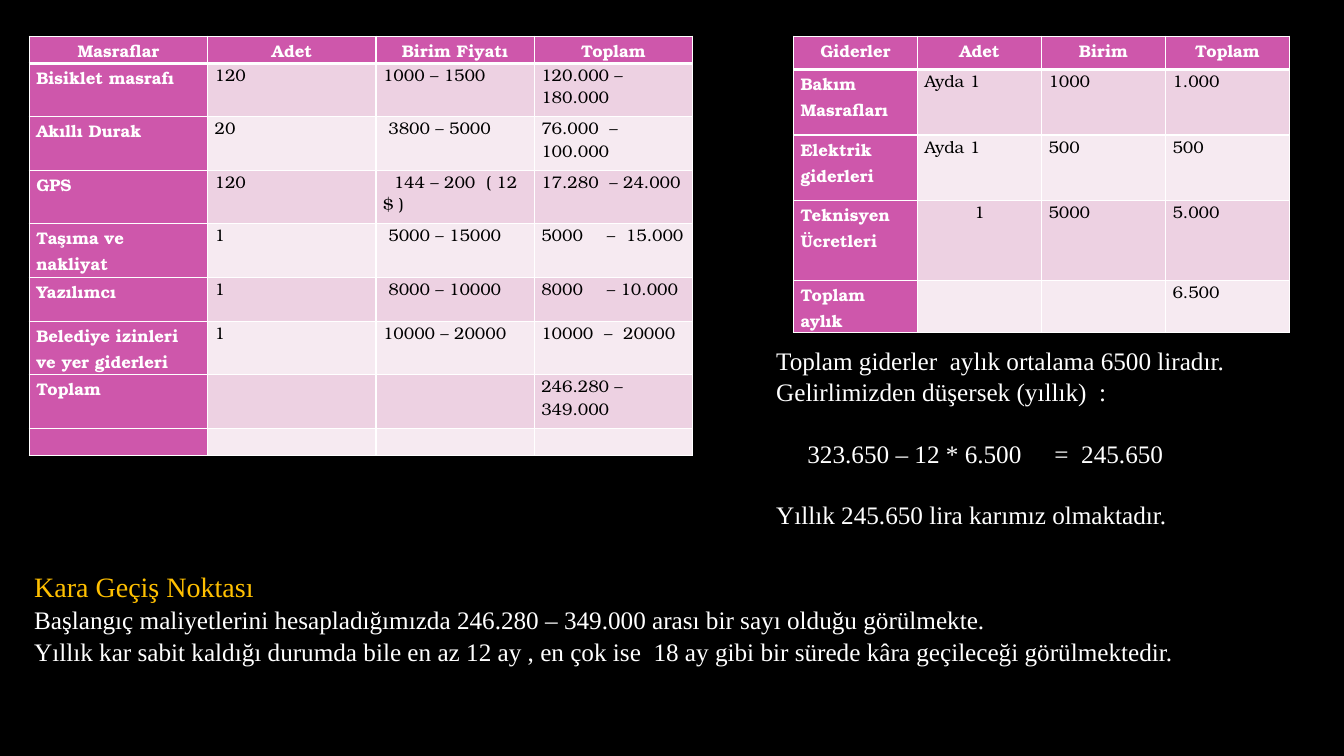
"""Builds the cost, expense and break-even slide."""
from lxml import etree
from pptx import Presentation
from pptx import util as u
from pptx.dml import color
from pptx.enum import text
from pptx.oxml import ns

COLORS = {
    "black": "000000",
    "white": "FFFFFF",
    "gold": "FFC000",
    "pink": "CE57AB",
    "band_dark": "EDD1E2",
    "band_light": "F6EAF1",
}
TABLE_FONT = "TeX Gyre Bonum"
BODY_FONT = "Times New Roman"

COSTS = [
    ["Masraflar", "Adet", "Birim Fiyatı", "Toplam"],
    ["Bisiklet masrafı", "120", "1000 – 1500", "120.000 – 180.000"],
    ["Akıllı Durak", "20", " 3800 – 5000", "76.000  – 100.000"],
    ["GPS", "120", "  144 – 200  ( 12 $ )", "17.280  – 24.000"],
    ["Taşıma ve nakliyat", "1", " 5000 – 15000", "5000\t–  15.000"],
    ["Yazılımcı", "1", " 8000 – 10000", "8000\t– 10.000"],
    ["Belediye izinleri ve yer giderleri", "1", "10000 – 20000", "10000  –  20000"],
    ["Toplam", "", "", "246.280 – 349.000"],
    ["", "", "", ""],
]
EXPENSES = [
    ["Giderler", "Adet", "Birim", "Toplam"],
    ["Bakım Masrafları", "Ayda 1", "1000", "1.000"],
    ["Elektrik giderleri", "Ayda 1", "500", "500"],
    ["Teknisyen Ücretleri", "1", "5000", "5.000"],
    ["Toplam aylık", "", "", "6.500"],
]


def rgb(name):
    """Return a named colour as an RGBColor."""
    return color.RGBColor.from_string(COLORS[name])


def write_para(para, content, size=18, font=BODY_FONT, ink="white", bold=False,
               align=None, spacing=1.0, before=0, tabs=()):
    """Write text into a paragraph with its format."""
    if tabs:
        stops = etree.SubElement(para._p.get_or_add_pPr(), ns.qn("a:tabLst"))
        for stop in tabs:
            etree.SubElement(stops, ns.qn("a:tab"), pos=str(u.Inches(stop)), algn="l")
    para.alignment = align
    para.line_spacing = spacing
    para.space_before = u.Pt(before)
    if not content:
        etree.SubElement(para._p, ns.qn("a:endParaRPr"), sz=str(size * 100))
        return
    span = para.add_run()
    span.text = content
    span.font.name = font
    span.font.size = u.Pt(size)
    span.font.bold = bold
    span.font.color.rgb = rgb(ink)


def add_borders(cell, **widths):
    """Draw white cell borders with the given point widths."""
    for side in ("L", "R", "T", "B"):
        line = etree.SubElement(cell._tc.get_or_add_tcPr(), ns.qn(f"a:ln{side}"),
                                w=str(u.Pt(widths.get(side, 1))))
        fill = etree.SubElement(line, ns.qn("a:solidFill"))
        etree.SubElement(fill, ns.qn("a:srgbClr"), val=COLORS["white"])


def add_grid(page, left, top, widths, heights, rows, centered=()):
    """Add a banded table with a coloured first row and column."""
    frame = page.shapes.add_table(
        len(rows), len(widths), u.Inches(left), u.Inches(top),
        u.Inches(sum(widths)), u.Inches(sum(heights)))
    table = frame.table
    for column, width in zip(table.columns, widths):
        column.width = u.Inches(width)
    for r, (height, row) in enumerate(zip(heights, rows)):
        table.rows[r].height = u.Inches(height)
        for c, content in enumerate(row):
            cell = table.cell(r, c)
            heading = r == 0 or c == 0
            add_borders(cell, T=3 if r == 1 else 1, B=3 if r == 0 else 1)
            cell.fill.solid()
            band = "band_dark" if r % 2 else "band_light"
            cell.fill.fore_color.rgb = rgb("pink" if heading else band)
            cell.margin_left = cell.margin_right = u.Inches(0.07)
            cell.margin_top = cell.margin_bottom = 0
            middle = r == 0 or (r, c) in centered
            write_para(cell.text_frame.paragraphs[0], content, size=12,
                       font=TABLE_FONT, ink="white" if heading else "black",
                       bold=heading, spacing=1.07 if heading else 1.0,
                       align=text.PP_ALIGN.CENTER if middle else None,
                       tabs=(0.65,) if "\t" in content else ())


def add_text(page, left, top, width, height, lines):
    """Add a text box from pairs of text and format."""
    box = page.shapes.add_textbox(*map(u.Inches, (left, top, width, height)))
    frame = box.text_frame
    frame.word_wrap = True
    for i, (content, style) in enumerate(lines):
        para = frame.add_paragraph() if i else frame.paragraphs[0]
        write_para(para, content, spacing=1.04, **style)


def main():
    """Build and save the slide."""
    deck = Presentation()
    deck.slide_width, deck.slide_height = u.Inches(13.33), u.Inches(7.5)
    page = deck.slides.add_slide(deck.slide_layouts[6])
    page.background.fill.solid()
    page.background.fill.fore_color.rgb = rgb("black")

    add_grid(page, 0.29, 0.36, [1.77, 1.67, 1.57, 1.57],
             [0.27] + [0.53] * 4 + [0.44] + [0.53] * 2 + [0.27], COSTS)
    add_grid(page, 7.87, 0.36, [1.23] * 4, [0.33, 0.65, 0.65, 0.79, 0.49],
             EXPENSES, centered={(3, 1)})
    add_text(page, 7.6, 3.36, 5.44, 2.22, [
        ("Toplam giderler  aylık ortalama 6500 liradır.", {}),
        ("Gelirlimizden düşersek (yıllık)  :", {}),
        ("\t323.650 – 12 * 6.500\t=  245.650", {"before": 21.6, "tabs": (0.31, 2.76)}),
        ("Yıllık 245.650 lira karımız olmaktadır.", {"before": 21.6}),
    ])
    add_text(page, 0.24, 5.59, 13.09, 1.35, [
        ("Kara Geçiş Noktası", {"size": 20, "ink": "gold"}),
        ("Başlangıç maliyetlerini hesapladığımızda 246.280 – 349.000 arası "
         "bir sayı olduğu görülmekte.", {}),
        ("Yıllık kar sabit kaldığı durumda bile en az 12 ay , en çok ise  18 ay "
         "gibi bir sürede kâra geçileceği görülmektedir.", {}),
    ])
    deck.save("out.pptx")


if __name__ == "__main__":
    main()
